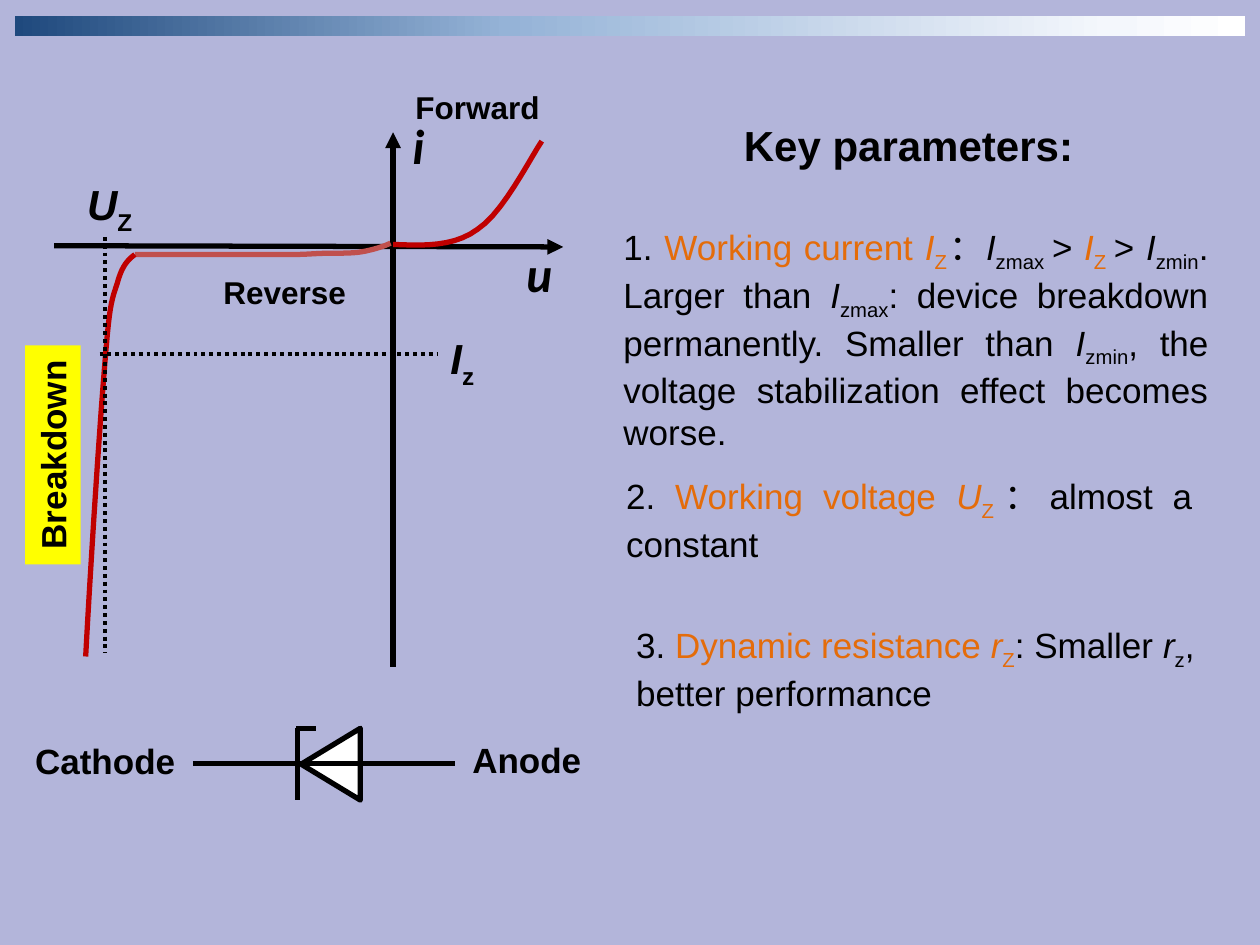
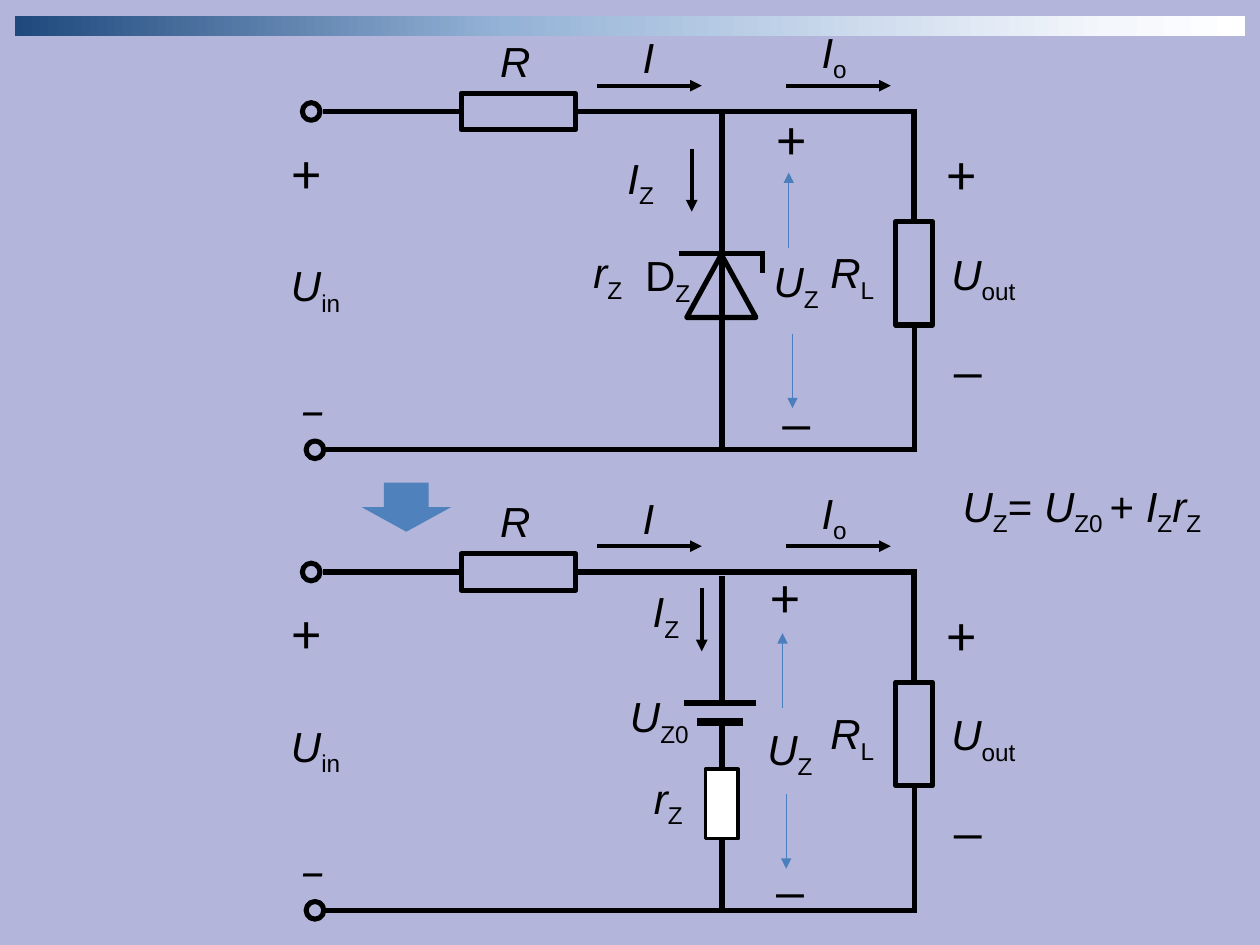
from lxml.etree import SubElement
from pptx import Presentation
from pptx.dml.color import RGBColor
from pptx.enum.dml import MSO_LINE
from pptx.enum.shapes import MSO_CONNECTOR, MSO_SHAPE
from pptx.enum.text import MSO_ANCHOR, MSO_AUTO_SIZE, PP_ALIGN
from pptx.oxml.ns import qn
from pptx.util import Inches, Pt

BLACK = RGBColor(0x00, 0x00, 0x00)
WHITE = RGBColor(0xFF, 0xFF, 0xFF)
LAVENDER = RGBColor(0xB3, 0xB5, 0xDA)
ORANGE = RGBColor(0xE4, 0x6C, 0x0A)
YELLOW = RGBColor(0xFF, 0xFF, 0x00)
RED = RGBColor(0xC0, 0x00, 0x00)
SOFT_RED = RGBColor(0xC0, 0x50, 0x4D)
BLUE = RGBColor(0x4F, 0x81, 0xBD)
THIN_BLUE = RGBColor(0x4B, 0x7E, 0xBC)
BAND_STOPS = [
    (0, RGBColor(0x1F, 0x49, 0x7D)),
    (40, RGBColor(0x95, 0xB3, 0xD7)),
    (89, RGBColor(0xF4, 0xF7, 0xFC)),
    (100, WHITE),
]
COLUMNS, ROWS = 100, 75
TITLE_ONLY, BLANK = 5, 6
TOP, LEFT, BOTTOM, RIGHT = range(4)
ITALIC, SUBSCRIPT, ACCENT = "/", "|", "~"
CURVE_STEPS = 10


def bezier(start, handle1, handle2, end):
    for step in range(1, CURVE_STEPS + 1):
        t = step / CURVE_STEPS
        weights = ((1 - t) ** 3, 3 * t * (1 - t) ** 2, 3 * t * t * (1 - t), t ** 3)
        yield tuple(
            sum(w * p[axis] for w, p in zip(weights, (start, handle1, handle2, end)))
            for axis in (0, 1)
        )


class Deck:
    def __init__(self):
        self.prs = Presentation()
        self.prs.slide_width, self.prs.slide_height = Inches(10), Inches(7.5)
        background = self.prs.slide_master.background.fill
        background.solid()
        background.fore_color.rgb = LAVENDER
        self.slide = None
        self.origin_row = 0

    def x(self, columns):
        return round(self.prs.slide_width * columns / COLUMNS)

    def y(self, rows):
        return round(self.prs.slide_height * (rows + self.origin_row) / ROWS)

    def box(self, left, top, width, height):
        x, y = self.x(left), self.y(top)
        return x, y, self.x(left + width) - x, self.y(top + height) - y

    def new_slide(self, layout):
        self.origin_row = 0
        self.slide = self.prs.slides.add_slide(self.prs.slide_layouts[layout])
        band = self.shape(MSO_SHAPE.RECTANGLE, 1.2, 1.3, 97.6, 1.6, line=None)
        band.fill.gradient()
        band.fill.gradient_angle = 0
        stops = band.fill._xPr.find(".//" + qn("a:gsLst"))
        for stop in list(stops):
            stops.remove(stop)
        for percent, color in BAND_STOPS:
            stop = SubElement(stops, qn("a:gs"), pos=str(percent * 1000))
            SubElement(stop, qn("a:srgbClr"), val=str(color))

    def shape(self, kind, left, top, width, height, fill=None, line=BLACK, weight=2.88):
        shape = self.slide.shapes.add_shape(kind, *self.box(left, top, width, height))
        shape.shadow.inherit = False
        self.paint(shape, fill)
        if line is None:
            shape.line.fill.background()
        else:
            shape.line.color.rgb = line
            shape.line.width = Pt(weight)
        return shape

    def paint(self, shape, fill):
        if fill is None:
            shape.fill.background()
        else:
            shape.fill.solid()
            shape.fill.fore_color.rgb = fill

    def line(self, start, end, weight=2.88, color=BLACK, arrow=False, dotted=False,
             begin=None, finish=None):
        line = self.slide.shapes.add_connector(
            MSO_CONNECTOR.STRAIGHT, self.x(start[0]), self.y(start[1]),
            self.x(end[0]), self.y(end[1]))
        line.line.color.rgb = color
        line.line.width = Pt(weight)
        if dotted:
            line.line.dash_style = MSO_LINE.ROUND_DOT
        if arrow:
            SubElement(line.line._get_or_add_ln(), qn("a:tailEnd"), type="triangle")
        SubElement(line._element.spPr, qn("a:effectLst"))
        if begin:
            line.begin_connect(*begin)
        if finish:
            line.end_connect(*finish)

    def curve(self, color, start, *pieces):
        points, here = [], start
        for piece in pieces:
            points.extend(bezier(here, *piece))
            here = piece[-1]
        builder = self.slide.shapes.build_freeform(self.x(start[0]), self.y(start[1]))
        builder.add_line_segments([(self.x(a), self.y(b)) for a, b in points], close=False)
        curve = builder.convert_to_shape()
        curve.shadow.inherit = False
        curve.fill.background()
        curve.line.color.rgb = color
        curve.line.width = Pt(3)

    def fill_frame(self, frame, markup, size, font="Arial", bold=False, align=PP_ALIGN.LEFT,
                   wrap=True, inset=True):
        frame.word_wrap = wrap
        frame.auto_size = MSO_AUTO_SIZE.SHAPE_TO_FIT_TEXT
        frame.vertical_anchor = MSO_ANCHOR.TOP
        if not inset:
            frame.margin_left = frame.margin_right = frame.margin_top = frame.margin_bottom = 0
        paragraph = frame.paragraphs[0]
        paragraph.alignment = align
        paragraph.font.name = font
        paragraph.font.size = Pt(size)
        paragraph.font.bold = bold
        paragraph.font.color.rgb = BLACK
        active, words = set(), ""
        for letter in markup + ITALIC:
            if letter not in (ITALIC, SUBSCRIPT, ACCENT):
                words += letter
                continue
            if words:
                self.styled_run(paragraph, words, active)
            words = ""
            active ^= {letter}

    def styled_run(self, paragraph, words, active):
        run = paragraph.add_run()
        run.text = words
        if ITALIC in active:
            run.font.italic = True
        if ACCENT in active:
            run.font.color.rgb = ORANGE
        if SUBSCRIPT in active:
            run._r.get_or_add_rPr().set("baseline", "-25000")

    def text(self, markup, left, top, width, height, size, **style):
        box = self.slide.shapes.add_textbox(*self.box(left, top, width, height))
        self.fill_frame(box.text_frame, markup, size, **style)
        return box

    def title(self, markup, left, top, width, height):
        title = self.slide.shapes.title
        title.left, title.top, title.width, title.height = self.box(left, top, width, height)
        self.fill_frame(title.text_frame, markup, 24, bold=True, align=PP_ALIGN.CENTER)

    def symbol(self, markup, left, top, width):
        self.text(markup, left, top, width, 3.9, 24, wrap=False, inset=False)

    def sign(self, mark, left, top, width=2.6):
        self.text(mark, left, top, width, 5.3, 32, font="Calibri", wrap=False, inset=False)


def zener_curve(deck):
    deck.line((4.3, 19.5), (44.7, 19.6), 3, arrow=True)
    deck.line((31.2, 52.9), (31.2, 10.5), 3, arrow=True)
    deck.curve(SOFT_RED, (10.7, 20.2),
               ((15, 20.2), (20, 20.2), (23.1, 20.2)),
               ((24.4, 20.2), (25.1, 20.1), (26.1, 20.1)),
               ((27, 20.1), (28, 20.1), (28.6, 20)),
               ((29.3, 19.9), (30.4, 19.6), (31, 19.3)))
    deck.curve(RED, (31.2, 19.4),
               ((33.6, 19.5), (36, 19.6), (37.9, 18.2)),
               ((39.9, 16.9), (42, 12.7), (43, 11.2)))
    deck.curve(RED, (10.7, 20.2),
               ((10.2, 20.6), (9.7, 21), (9.3, 22.5)),
               ((8.8, 24), (8.7, 24.2), (8.3, 29.1)),
               ((7.9, 34), (7.3, 43), (6.8, 52.1)))
    deck.line((8.3, 18.8), (8.3, 51.8), 2.25, dotted=True)
    deck.line((7.9, 28.1), (34.7, 28.1), 2.25, dotted=True)
    bold = dict(bold=True, align=PP_ALIGN.CENTER)
    deck.text("/u/", 40.2, 18.8, 5.2, 5.6, 28, font="Calibri", wrap=False, **bold)
    deck.text("/i/", 31.7, 8.7, 3, 5.7, 28, font="Calibri", **bold)
    for region, left, top in (("Forward", 30.4, 6.5), ("Reverse", 15.1, 21.2)):
        deck.text(region, left, top, 15, 4, 18, **bold)
    for quantity, left, top in (("/U/|Z|", 3.7, 13.7), ("/I/|z|", 31.7, 25.9)):
        deck.text(quantity, left, top, 10, 5.9, 24, **bold)
    breakdown = deck.text("Breakdown", -4.5, 33.9, 17.4, 4.4, 20, **bold)
    breakdown.rotation = 270
    deck.paint(breakdown, YELLOW)


def zener_symbol(deck):
    diode = deck.shape(MSO_SHAPE.ISOSCELES_TRIANGLE, 23.4, 58.3, 5.7, 4.7, WHITE, weight=3)
    diode.rotation = 270
    for start, end in (((23.6, 57.8), (23.6, 63.5)), ((15.3, 60.6), (36.1, 60.6)),
                       ((23.5, 57.8), (25.1, 57.8))):
        deck.line(start, end, 3)
    for pole, left, top, width in (("Anode", 36.5, 58.1, 11.4), ("Cathode", 1.8, 58.2, 14.2)):
        deck.text(pole, left, top, width, 4.4, 20, bold=True, align=PP_ALIGN.JUSTIFY)


def key_parameters(deck):
    deck.title("Key parameters:", 57.3, 9, 29.6, 5)
    deck.text("1. ~Working current /I/|Z|~：/I/|zmax |>~/ I/|Z |~> /I/|zmin|. Larger than "
              "/I/|zmax|: device breakdown permanently. Smaller than /I/|zmin|, the voltage "
              "stabilization effect becomes worse.",
              48.5, 17.4, 48.4, 20.2, 20, align=PP_ALIGN.JUSTIFY)
    deck.text("2. ~Working voltage /U/|Z|~：almost a constant",
              48.7, 37.2, 46.9, 8.5, 20, align=PP_ALIGN.JUSTIFY)
    deck.text("3. ~Dynamic resistance /r/|Z|~: Smaller /r/|z|, better performance",
              49.5, 49, 46.9, 8.5, 20)


def outer_loop(deck, origin_row):
    deck.origin_row = origin_row
    resistor = deck.shape(MSO_SHAPE.RECTANGLE, 36.6, 7.4, 9.1, 2.9)
    load = deck.shape(MSO_SHAPE.RECTANGLE, 71.1, 17.6, 2.9, 8.2, weight=3)
    deck.line((36.6, 8.85), (25.6, 8.85), begin=(resistor, LEFT))
    deck.line((72.7, 8.85), (45.7, 8.85), finish=(resistor, RIGHT))
    deck.line((72.55, 8.65), (72.55, 17.6), 3, finish=(load, TOP))
    deck.line((72.55, 35.9), (72.55, 25.8), finish=(load, BOTTOM))
    deck.line((72.8, 35.7), (25.8, 35.7))
    for left, top in ((24, 8.15), (24.3, 35)):
        deck.shape(MSO_SHAPE.OVAL, left, top, 1.4, 1.4)
    for start in (47.4, 62.4):
        deck.line((start, 6.8), (start + 8.3, 6.8), 2.25, arrow=True)
    for label in (("/R/|L|", 65.9, 19.6, 4.4), ("/U/|out|", 75.5, 19.7, 7.4),
                  ("/U/|in|", 23.1, 20.6, 5.6), ("/R/", 39.7, 2.8, 2.9),
                  ("/I/", 51, 2.5, 1.7), ("/I/|o|", 65.2, 2.1, 3.2)):
        deck.symbol(*label)
    for mark in (("+", 75.2, 11), ("_", 75.7, 25, 1.8), ("+", 23.2, 10.9),
                 ("/_/", 23.9, 28, 2.9)):
        deck.sign(*mark)


def zener_voltage(deck, left, top, drop=0):
    deck.sign("+", left, top)
    deck.symbol("/U/|Z|", left - 0.3, top + 12.1 + drop, 4.9)
    deck.sign("_", left + 0.4, top + 20.9 + drop, 1.8)
    for column, start, end in ((left + 0.9, 19.65, 13.7), (left + 1.2, 26.5, 32.4)):
        deck.line((column, start), (column, end), 0.75, THIN_BLUE, arrow=True)


def zener_current(deck, column, top, label_left, label_top):
    deck.line((column, top), (column, top + 5), 2.25, arrow=True)
    deck.symbol("/I/|Z|", label_left, label_top, 3.2)


def diode_branch(deck):
    deck.line((57.3, 8.8), (57.3, 35.7), 3)
    deck.shape(MSO_SHAPE.ISOSCELES_TRIANGLE, 54.5, 20.2, 5.5, 5)
    deck.line((53.9, 20.1), (60.7, 20.1))
    deck.line((60.5, 19.9), (60.5, 21.7))
    deck.text("D|Z|", 51.2, 19.8, 5.4, 4.9, 24, inset=False)
    deck.symbol("/r/|Z|", 47.1, 19.6, 3.7)
    zener_current(deck, 54.9, 11.8, 49.8, 12.1)
    zener_voltage(deck, 61.7, 8.2)


def source_branch(deck):
    resistance = deck.shape(MSO_SHAPE.RECTANGLE, 56, 24.5, 2.6, 5.5, WHITE, weight=2)
    deck.line((57.3, 9.15), (57.3, 19.25), 3)
    deck.line((60, 19.25), (54.3, 19.25), 3)
    deck.line((59, 20.75), (55.3, 20.75), 4.5)
    deck.line((57.3, 20.75), (57.3, 24.5), 3, finish=(resistance, TOP))
    deck.line((57.3, 30), (57.3, 35.7), 3, begin=(resistance, BOTTOM))
    deck.symbol("/U/|Z0|", 50, 18.25, 6.4)
    deck.symbol("/r/|Z|", 51.9, 24.75, 3.7)
    zener_current(deck, 55.7, 10.15, 51.8, 9.95)
    zener_voltage(deck, 61.2, 8.05, drop=0.7)


def main():
    deck = Deck()
    deck.new_slide(TITLE_ONLY)
    zener_curve(deck)
    zener_symbol(deck)
    key_parameters(deck)

    deck.new_slide(BLANK)
    deck.shape(MSO_SHAPE.DOWN_ARROW, 28.7, 38.3, 7.1, 3.9, BLUE, line=None)
    deck.text("/U/|Z|= /U/|Z0 |+ /I/|Z|/r/|Z|", 76.4, 38.1, 20.5, 4.9, 24, inset=False)
    for origin_row, branch in ((0, diode_branch), (36.55, source_branch)):
        outer_loop(deck, origin_row)
        branch(deck)
    deck.prs.save("out.pptx")


if __name__ == "__main__":
    main()
